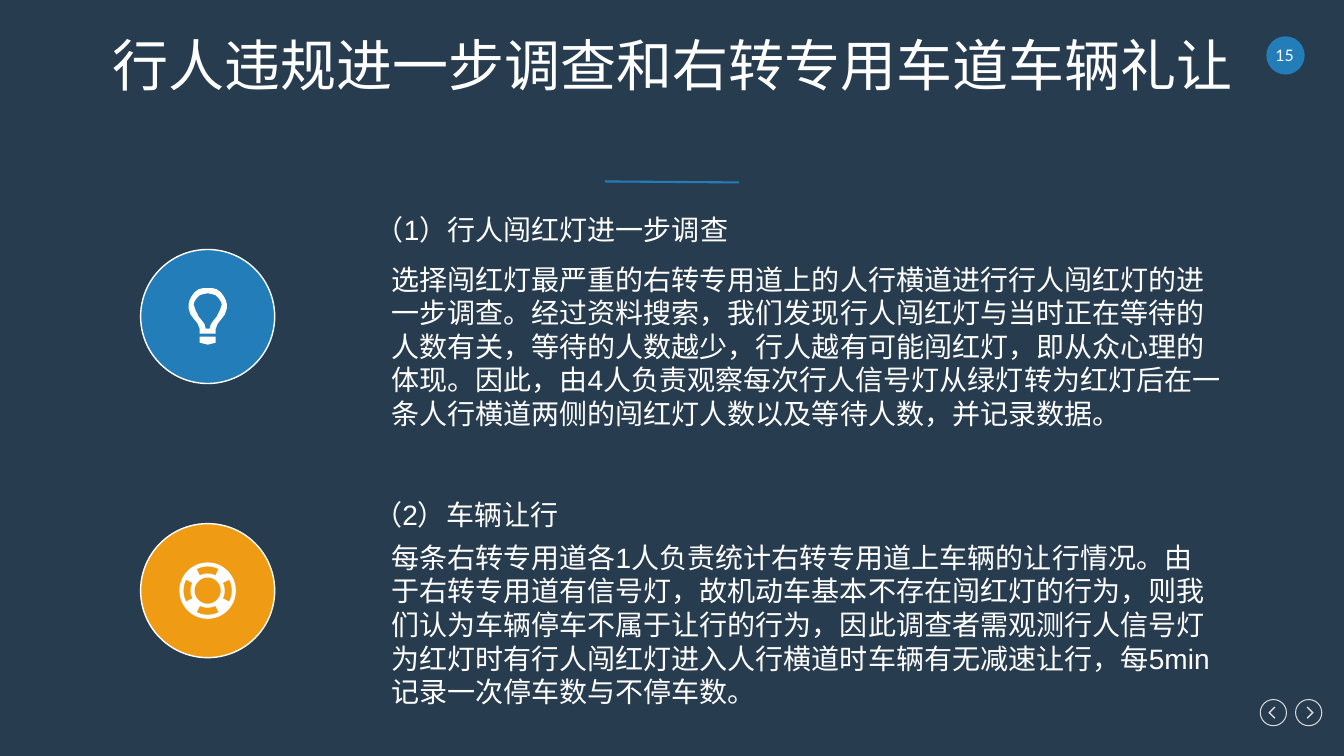
import math
from dataclasses import dataclass

import pptx
import pptx.dml.color
import pptx.enum.shapes
import pptx.enum.text
import pptx.shapes.autoshape
import pptx.shapes.base
import pptx.shapes.shapetree
import pptx.slide
import pptx.util
from pptx.util import Inches

Point = tuple[float, float]
Contour = list[Point]
Box = tuple[float, float, float, float]


@dataclass(frozen=True)
class Theme:
    background: str = "283C50"
    blue: str = "237DB9"
    orange: str = "F09B14"
    white: str = "FFFFFF"
    gray: str = "D9D9D9"
    title_font: str = "Lato"
    body_font: str = "Arial"
    title_size: float = 40
    body_size: float = 20
    number_size: float = 11.3


@dataclass(frozen=True)
class Section:
    heading: str
    heading_box: Box
    body: str
    body_box: Box
    badge_center: Point
    badge_color: str
    icon: list[Contour]


@dataclass(frozen=True)
class NavigationButton:
    center: Point
    direction: int


THEME = Theme()
CENTER = pptx.enum.text.PP_ALIGN.CENTER
LEFT = pptx.enum.text.PP_ALIGN.LEFT


def color(value: str) -> pptx.dml.color.RGBColor:
    return pptx.dml.color.RGBColor.from_string(value)


def mirrored(right_half: Contour) -> Contour:
    return right_half + [(-x, y) for x, y in reversed(right_half)]


def arc(radius: float, start: float, end: float, steps: int) -> Contour:
    angles = [math.radians(start + (end - start) * step / steps) for step in range(steps + 1)]
    return [(radius * math.cos(angle), radius * math.sin(angle)) for angle in angles]


def bulb_icon() -> list[Contour]:
    base = [(0, 0.28), (0.04, 0.27), (0.08, 0.26), (0.08, 0.2)]
    glass = [(0, -0.28), (0.05, -0.28), (0.09, -0.27), (0.13, -0.24), (0.16, -0.2),
             (0.18, -0.16), (0.19, -0.12), (0.19, -0.08), (0.17, -0.02), (0.14, 0.02),
             (0.1, 0.07), (0.08, 0.12), (0.08, 0.17)]
    hollow = [(0, -0.23), (0.05, -0.22), (0.08, -0.21), (0.11, -0.18), (0.13, -0.15),
              (0.14, -0.12), (0.12, -0.06), (0.09, 0), (0.05, 0.05), (0.03, 0.08), (0.02, 0.12)]
    return [mirrored(half) for half in (base, glass, hollow)]


def lifebuoy_icon() -> list[Contour]:
    slots = [
        arc(0.24, middle - 27, middle + 27, 6) + arc(0.17, middle + 27, middle - 27, 6)
        for middle in range(0, 360, 90)
    ]
    return [arc(0.28, 0, 360, 48), arc(0.13, 0, 360, 36), *slots]


def chevron(direction: int) -> Contour:
    points = [(0.05, 0), (-0.01, 0.06), (-0.02, 0.05), (0.03, 0), (-0.02, -0.05), (-0.01, -0.06)]
    return [(direction * x, y) for x, y in points]


def place(shape: pptx.shapes.base.BaseShape, box: Box) -> None:
    shape.left, shape.top, shape.width, shape.height = map(Inches, box)


def add_circle(shapes: pptx.shapes.shapetree._BaseGroupShapes, center: Point, diameter: float,
               fill: str | None, line: str | None, line_width: float = 1) -> None:
    circle = shapes.add_shape(
        pptx.enum.shapes.MSO_SHAPE.OVAL, Inches(center[0] - diameter / 2),
        Inches(center[1] - diameter / 2), Inches(diameter), Inches(diameter))
    circle.shadow.inherit = False
    if fill:
        circle.fill.solid()
        circle.fill.fore_color.rgb = color(fill)
    else:
        circle.fill.background()
    if line:
        circle.line.color.rgb = color(line)
        circle.line.width = pptx.util.Pt(line_width)
    else:
        circle.line.fill.background()


def add_outline(shapes: pptx.shapes.shapetree._BaseGroupShapes, center: Point,
                contours: list[Contour], fill: str) -> None:
    placed = [[(Inches(center[0] + x), Inches(center[1] + y)) for x, y in contour]
              for contour in contours]
    builder = shapes.build_freeform(*placed[0][0])
    for index, contour in enumerate(placed):
        if index:
            builder.move_to(*contour[0])
        builder.add_line_segments(contour[1:], close=True)
    outline = builder.convert_to_shape()
    outline.shadow.inherit = False
    outline.fill.solid()
    outline.fill.fore_color.rgb = color(fill)
    outline.line.fill.background()


def write_text(shape: pptx.shapes.autoshape.Shape, text: str, font: str, size: float,
               alignment: pptx.enum.text.PP_ALIGN) -> None:
    frame = shape.text_frame
    frame.word_wrap = True
    frame.auto_size = pptx.enum.text.MSO_AUTO_SIZE.NONE
    frame.margin_left = frame.margin_top = frame.margin_right = frame.margin_bottom = 0
    frame.text = text
    paragraph = frame.paragraphs[0]
    paragraph.alignment = alignment
    paragraph.font.name = font
    paragraph.font.size = pptx.util.Pt(size)
    paragraph.font.color.rgb = color(THEME.white)


def add_text(slide: pptx.slide.Slide, box: Box, text: str, font: str, size: float,
             alignment: pptx.enum.text.PP_ALIGN) -> None:
    write_text(slide.shapes.add_textbox(*map(Inches, box)), text, font, size, alignment)


def add_section(slide: pptx.slide.Slide, section: Section) -> None:
    badge = slide.shapes.add_group_shape().shapes
    add_circle(badge, section.badge_center, 1.33, section.badge_color, THEME.white)
    add_outline(badge, section.badge_center, section.icon, THEME.white)
    add_text(slide, section.heading_box, section.heading, THEME.body_font, THEME.body_size, CENTER)
    add_text(slide, section.body_box, section.body, THEME.body_font, THEME.body_size, LEFT)


def add_divider(slide: pptx.slide.Slide) -> None:
    divider = slide.shapes.add_connector(
        pptx.enum.shapes.MSO_CONNECTOR.STRAIGHT, Inches(6), Inches(1.8), Inches(7.33), Inches(1.81))
    divider.line.color.rgb = color(THEME.blue)
    divider.line.width = pptx.util.Pt(1.5)
    properties = divider.element.spPr
    properties.append(properties.makeelement(pptx.oxml.ns.qn("a:effectLst"), {}))


SECTIONS = [
    Section("（1）行人闯红灯进一步调查", (3.42, 2.11, 4.11, 0.49),
            "选择闯红灯最严重的右转专用道上的人行横道进行行人闯红灯的进一步调查。经过资料搜索，我们发现行人闯红灯与当时正在等待的人数有关，等待的人数越少，行人越有可能闯红灯，即从众心理的体现。因此，由4人负责观察每次行人信号灯从绿灯转为红灯后在一条人行横道两侧的闯红灯人数以及等待人数，并记录数据。",
            (3.88, 2.6, 8.25, 1.97), (2.06, 3.14), THEME.blue, bulb_icon()),
    Section("（2）车辆让行", (3.53, 4.94, 2.19, 0.25),
            "每条右转专用道各1人负责统计右转专用道上车辆的让行情况。由于右转专用道有信号灯，故机动车基本不存在闯红灯的行为，则我们认为车辆停车不属于让行的行为，因此调查者需观测行人信号灯为红灯时有行人闯红灯进入人行横道时车辆有无减速让行，每5min记录一次停车数与不停车数。",
            (3.88, 5.36, 8.17, 1.87), (2.06, 5.86), THEME.orange, lifebuoy_icon()),
]
NAVIGATION = [NavigationButton((12.63, 7.07), -1), NavigationButton((12.98, 7.07), 1)]


def main() -> None:
    presentation = pptx.Presentation()
    presentation.slide_width, presentation.slide_height = Inches(13.33), Inches(7.5)
    slide = presentation.slides.add_slide(presentation.slide_layouts[5])
    slide.background.fill.solid()
    slide.background.fill.fore_color.rgb = color(THEME.background)

    title = slide.shapes.title
    place(title, (0.87, 0.3, 11.6, 0.67))
    write_text(title, "行人违规进一步调查和右转专用车道车辆礼让", THEME.title_font, THEME.title_size, CENTER)
    title.text_frame.vertical_anchor = pptx.enum.text.MSO_ANCHOR.MIDDLE

    add_divider(slide)
    for button in NAVIGATION:
        add_circle(slide.shapes, button.center, 0.26, None, THEME.gray, 0.75)
        add_outline(slide.shapes, button.center, [chevron(button.direction)], THEME.gray)
    add_circle(slide.shapes, (12.75, 0.55), 0.38, THEME.blue, None)
    add_text(slide, (12.58, 0.45, 0.32, 0.19), "15", THEME.title_font, THEME.number_size, CENTER)
    for section in SECTIONS:
        add_section(slide, section)

    presentation.save("out.pptx")


if __name__ == "__main__":
    main()
